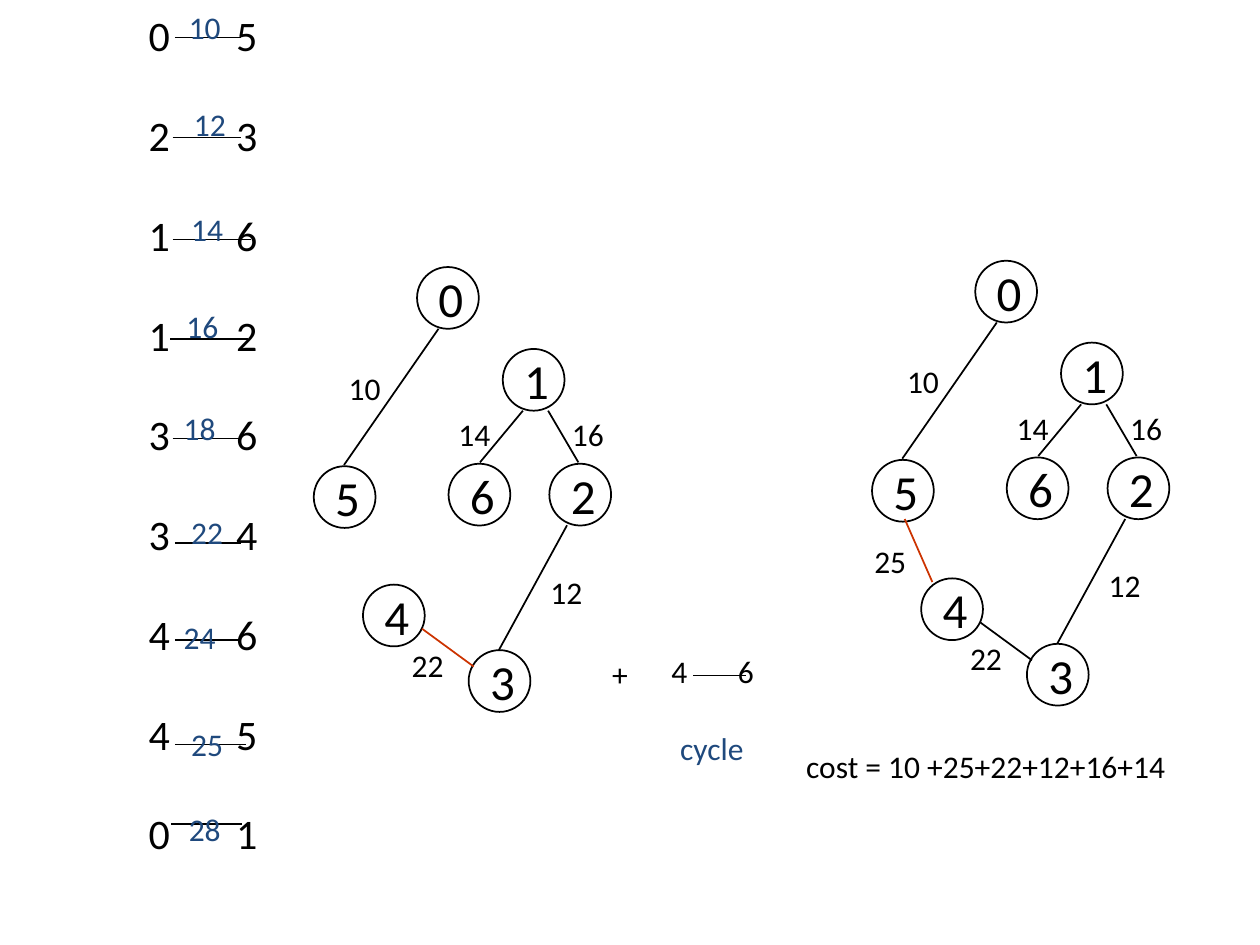
from typing import NamedTuple

from lxml import etree
from pptx import Presentation
from pptx.dml.color import RGBColor
from pptx.enum import shapes, text
from pptx.oxml import ns
from pptx.util import Pt

BLACK = RGBColor(0x00, 0x00, 0x00)
WHITE = RGBColor(0xFF, 0xFF, 0xFF)
BLUE = RGBColor(0x1F, 0x49, 0x7D)
RED = RGBColor(0xCC, 0x33, 0x00)
FONT = "Calibri"
NODE_SIZE = 35.3
LABEL_SIZE = (34.6, 31)


class RankedEdge(NamedTuple):
    """A row of the edge list, with its line and weight label."""
    start: str
    end: str
    weight: str
    line_left: float
    line_right: float
    line_y: float
    weight_left: float
    weight_top: float


class Node(NamedTuple):
    name: str
    left: float
    top: float


class TreeEdge(NamedTuple):
    weight: str
    x1: float
    y1: float
    x2: float
    y2: float
    weight_left: float
    weight_top: float


class Caption(NamedTuple):
    words: str
    left: float
    top: float
    width: float
    color: RGBColor


RANKED_EDGES = [
    RankedEdge("0", "5", "10", 100, 137.5, 21.6, 100.8, 0),
    RankedEdge("2", "3", "12", 98.6, 137.5, 78.5, 103.7, 55.4),
    RankedEdge("1", "6", "14", 98.6, 143.3, 136.8, 102.2, 115.2),
    RankedEdge("1", "2", "16", 97.2, 141.8, 193.7, 99.4, 170.6),
    RankedEdge("3", "6", "18", 98.6, 137.5, 250.6, 97.9, 229),
    RankedEdge("3", "4", "22", 100, 137.5, 310.3, 102.2, 288.7),
    RankedEdge("4", "6", "24", 100, 137.5, 365.8, 97.9, 348.5),
    RankedEdge("4", "5", "25", 100, 140.4, 425.5, 102.2, 409.7),
    RankedEdge("0", "1", "28", 98, 138.2, 470.9, 100.8, 457.9),
]
NODES = [
    Node("0", 238.3, 152.6),
    Node("1", 287.3, 199.4),
    Node("2", 313.9, 265),
    Node("3", 267.8, 371.5),
    Node("4", 207.4, 334.1),
    Node("5", 179.3, 266.4),
    Node("6", 256.3, 265),
]
TREE_EDGES = [
    TreeEdge("10", 250.6, 187.9, 196.6, 265.7, 192.2, 205.9),
    TreeEdge("12", 324, 300.2, 285.1, 371.5, 307.4, 322.6),
    TreeEdge("14", 298.8, 234.7, 274.3, 264.2, 254.9, 232.6),
    TreeEdge("16", 313.2, 234.7, 330.5, 264.2, 319.7, 232.6),
    TreeEdge("22", 241.2, 359.3, 270.7, 380.9, 228.2, 364.3),
]
CLOSING_EDGE = TreeEdge("25", 198, 300.2, 213.8, 336.2, 173.5, 308.9)
CAPTIONS = [
    Caption("cycle", 381.6, 411.8, 56.9, BLUE),
    Caption("+", 342.7, 369.4, 25.9, BLACK),
    Caption("cost = 10 +25+22+12+16+14", 453.6, 421.9, 249.1, BLACK),
]


def add_run(paragraph, words: str, size: float, color: RGBColor) -> None:
    run = paragraph.add_run()
    run.text = words
    run.font.name = FONT
    run.font.size = Pt(size)
    run.font.color.rgb = color


def add_frame(slide, left: float, top: float, width: float, height: float,
              wrap: bool = False):
    box = slide.shapes.add_textbox(Pt(left), Pt(top), Pt(width), Pt(height))
    frame = box.text_frame
    frame.word_wrap = wrap
    frame.auto_size = text.MSO_AUTO_SIZE.SHAPE_TO_FIT_TEXT
    frame.vertical_anchor = text.MSO_ANCHOR.MIDDLE
    return frame


def add_label(slide, words: str, left: float, top: float,
              width: float = LABEL_SIZE[0], color: RGBColor = BLACK) -> None:
    frame = add_frame(slide, left, top, width, LABEL_SIZE[1])
    add_run(frame.paragraphs[0], words, 18, color)


def add_vertex_pair(paragraph, start: str, end: str, size: float,
                    tab: float) -> None:
    """Write two vertex names, the second one at a tab stop."""
    tab_list = etree.SubElement(paragraph._p.get_or_add_pPr(), ns.qn("a:tabLst"))
    etree.SubElement(tab_list, ns.qn("a:tab"), pos=str(Pt(tab)), algn="l")
    add_run(paragraph, f"{start}\t{end}", size, BLACK)


def add_line(slide, x1: float, y1: float, x2: float, y2: float,
             weight: float, color: RGBColor = BLACK) -> None:
    line = slide.shapes.add_connector(
        shapes.MSO_CONNECTOR.STRAIGHT, Pt(x1), Pt(y1), Pt(x2), Pt(y2))
    line.line.color.rgb = color
    line.line.width = Pt(weight)
    etree.SubElement(line._element.spPr, ns.qn("a:effectLst"))


def add_node(group, node: Node, dx: float, dy: float) -> None:
    circle = group.shapes.add_shape(
        shapes.MSO_SHAPE.OVAL, Pt(node.left + dx), Pt(node.top + dy),
        Pt(NODE_SIZE), Pt(NODE_SIZE))
    circle.shadow.inherit = False
    circle.fill.solid()
    circle.fill.fore_color.rgb = WHITE
    circle.line.color.rgb = BLACK
    circle.line.width = Pt(1)
    frame = circle.text_frame
    frame.word_wrap = False
    frame.vertical_anchor = text.MSO_ANCHOR.MIDDLE
    paragraph = frame.paragraphs[0]
    paragraph.alignment = text.PP_ALIGN.LEFT
    add_run(paragraph, node.name, 28, BLACK)


def add_tree(slide, edges: list[TreeEdge], dx: float = 0, dy: float = 0) -> None:
    """Draw the nodes and edges; the newest edge, last in the list, is red."""
    group = slide.shapes.add_group_shape()
    for node in NODES:
        add_node(group, node, dx, dy)
    for edge in edges:
        color = RED if edge is edges[-1] else BLACK
        add_line(slide, edge.x1 + dx, edge.y1 + dy, edge.x2 + dx, edge.y2 + dy,
                 1, color)
        add_label(slide, edge.weight, edge.weight_left + dx, edge.weight_top + dy)


def add_edge_list(slide) -> None:
    frame = add_frame(slide, 77.8, 0, 80.6, 496, wrap=True)
    for index, edge in enumerate(RANKED_EDGES):
        paragraph = frame.add_paragraph() if index else frame.paragraphs[0]
        add_vertex_pair(paragraph, edge.start, edge.end, 24, 50)
        if index:
            paragraph.space_before = Pt(28.2)
    for edge in RANKED_EDGES:
        add_line(slide, edge.line_left, edge.line_y, edge.line_right,
                 edge.line_y, 0.75)
    for edge in RANKED_EDGES:
        add_label(slide, edge.weight, edge.weight_left, edge.weight_top,
                  color=BLUE)


def main() -> None:
    deck = Presentation()
    deck.slide_width, deck.slide_height = Pt(720), Pt(540)
    slide = deck.slides.add_slide(deck.slide_layouts[6])

    add_edge_list(slide)
    add_tree(slide, TREE_EDGES)
    add_tree(slide, TREE_EDGES + [CLOSING_EDGE], dx=319, dy=-3.6)

    rejected = add_frame(slide, 376.6, 367.9, 69.8, LABEL_SIZE[1], wrap=True)
    add_vertex_pair(rejected.paragraphs[0], "4", "6", 18, 38)
    add_line(slide, 396, 385.9, 426.2, 385.9, 0.75)
    for caption in CAPTIONS:
        add_label(slide, *caption)

    deck.save("out.pptx")


if __name__ == "__main__":
    main()
